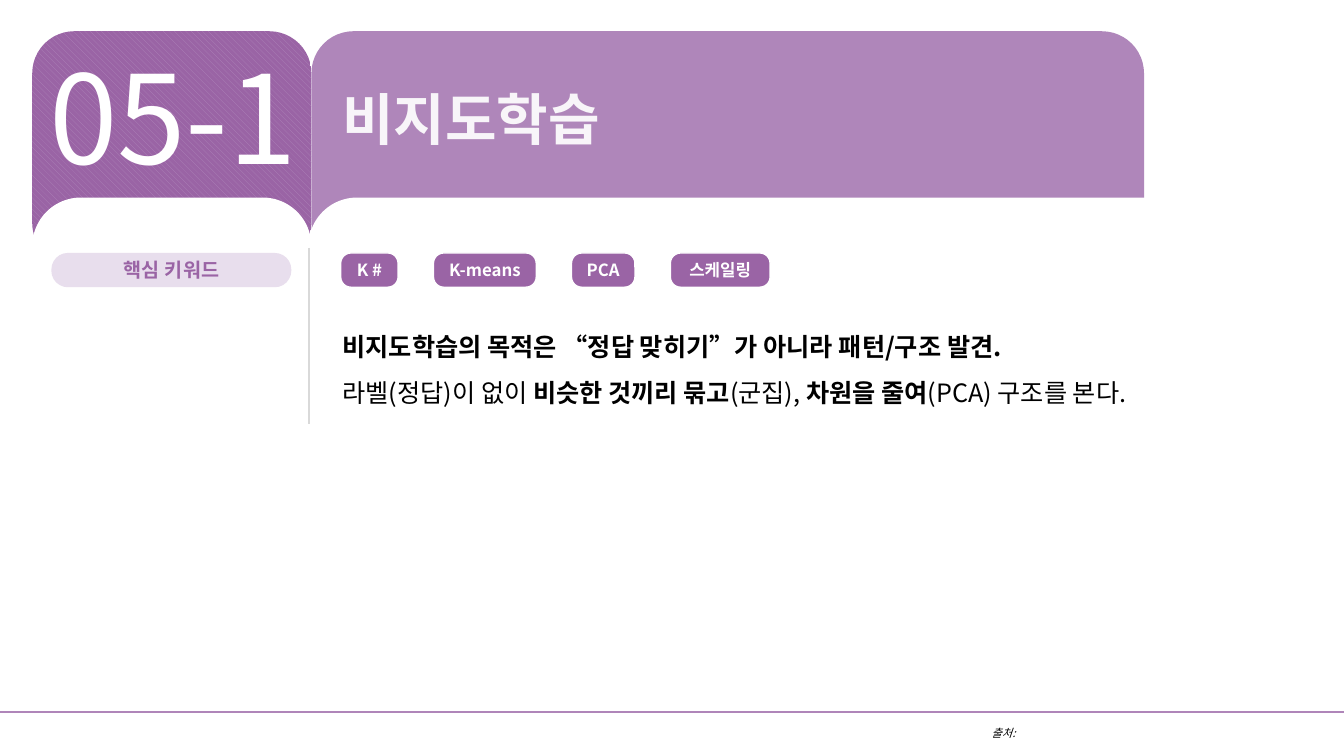
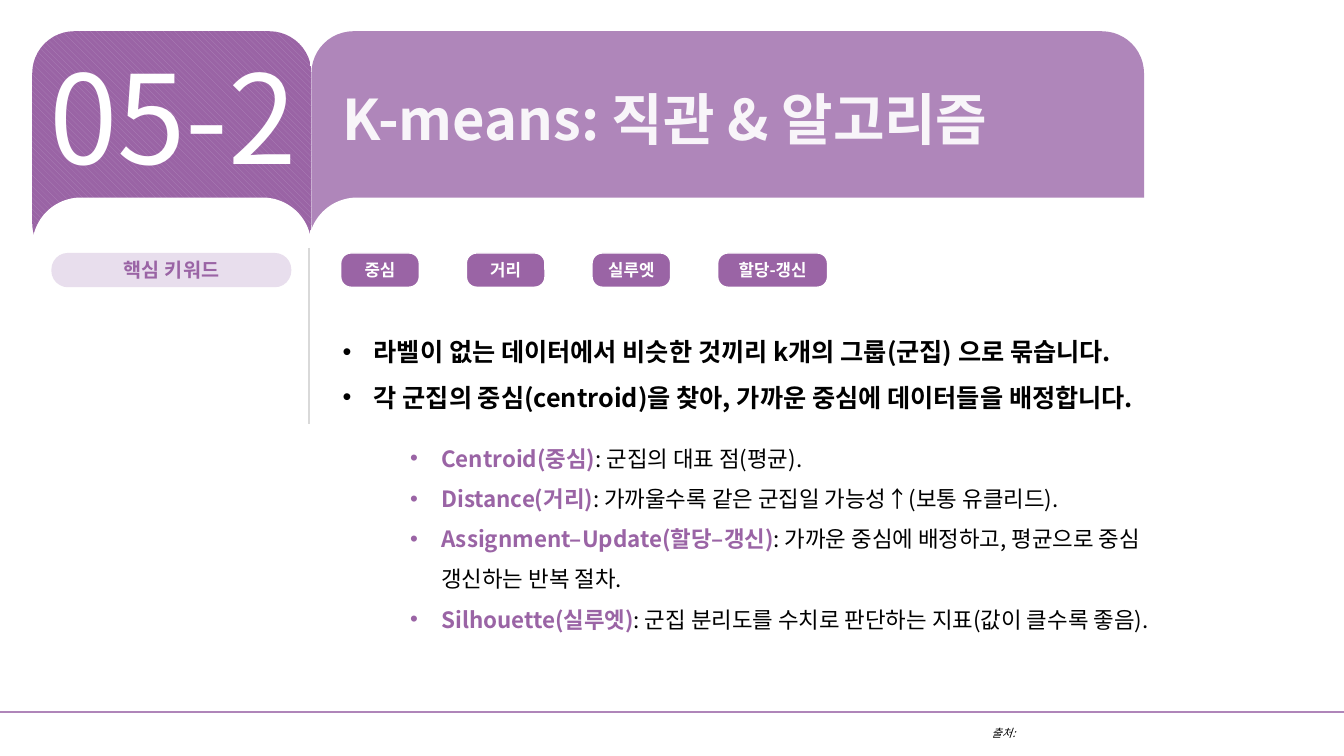
"""Build two lecture slides on unsupervised learning with a shared banner and keyword row."""
import dataclasses

import lxml.etree
import pptx
import pptx.dml.color
import pptx.enum.dml
import pptx.enum.shapes
import pptx.enum.text
import pptx.oxml.ns
import pptx.util

COLUMNS, ROWS = 40, 30
WIDTH, HEIGHT = pptx.util.Inches(13.333), pptx.util.Inches(7.5)
ALIGN = pptx.enum.text.PP_ALIGN
ANCHOR = pptx.enum.text.MSO_ANCHOR


@dataclasses.dataclass(frozen=True)
class Theme:
    face: str = "Noto Sans CJK KR"
    label_face: str = "Arial"
    deep: str = "9A64A5"
    band: str = "AF86BA"
    pale: str = "E8DEED"
    rule: str = "AF85B9"
    divider: str = "D9D9D9"
    title: str = "F8F5F9"
    white: str = "FFFFFF"
    ink: str = "000000"
    number_size: int = 88
    title_size: int = 40
    body_size: int = 18
    detail_size: int = 16
    label_size: int = 14
    chip_size: int = 12
    source_size: int = 8


THEME = Theme()


def rgb(color):
    return pptx.dml.color.RGBColor.from_string(color)


def across(columns):
    return round(WIDTH * columns / COLUMNS)


def down(rows):
    return round(HEIGHT * rows / ROWS)


def box(left, top, width, height):
    return across(left), down(top), across(width), down(height)


def add_bullet(paragraph):
    properties = paragraph._p.get_or_add_pPr()
    indent = pptx.util.Inches(0.31)
    properties.set("marL", str(indent))
    properties.set("indent", str(-indent))
    name = pptx.oxml.ns.qn
    lxml.etree.SubElement(properties, name("a:buFont")).set("typeface", "Arial")
    lxml.etree.SubElement(properties, name("a:buChar")).set("char", "•")


def write_text(shape, paragraphs, *, size, color=THEME.ink, face=THEME.face, bold=False,
               italic=False, align=ALIGN.LEFT, anchor=ANCHOR.TOP, spacing=1.0,
               bullet=False, wrap=True, grow=False):
    frame = shape.text_frame
    frame.word_wrap = wrap
    frame.vertical_anchor = anchor
    if grow:
        frame.auto_size = pptx.enum.text.MSO_AUTO_SIZE.SHAPE_TO_FIT_TEXT
    for index, runs in enumerate(paragraphs):
        paragraph = frame.add_paragraph() if index else frame.paragraphs[0]
        paragraph.alignment = align
        paragraph.line_spacing = spacing
        if bullet:
            add_bullet(paragraph)
        for text, changes in runs:
            run = paragraph.add_run()
            run.text = text
            font = run.font
            font.size = pptx.util.Pt(size)
            font.name = face
            font.italic = italic
            font.bold = changes.get("bold", bold)
            font.color.rgb = rgb(changes.get("color", color))
            east_asian = lxml.etree.SubElement(
                run._r.get_or_add_rPr(), pptx.oxml.ns.qn("a:ea"))
            east_asian.set("typeface", face)


def plain(text):
    return [[(text, {})]]


def add_text(slide, place, paragraphs, **text_format):
    shape = slide.shapes.add_textbox(*box(*place))
    write_text(shape, paragraphs, grow=True, **text_format)


def add_panel(slide, place, rounding, color, line=None):
    shape = slide.shapes.add_shape(
        pptx.enum.shapes.MSO_SHAPE.ROUNDED_RECTANGLE, *box(*place))
    shape.adjustments[0] = rounding
    shape.shadow.inherit = False
    shape.fill.solid()
    shape.fill.fore_color.rgb = rgb(color)
    if line:
        shape.line.color.rgb = rgb(line)
        shape.line.width = pptx.util.Pt(1)
    else:
        shape.line.fill.background()
    return shape


def add_line(slide, start, end, color):
    connector = slide.shapes.add_connector(
        pptx.enum.shapes.MSO_CONNECTOR.STRAIGHT,
        across(start[0]), down(start[1]), across(end[0]), down(end[1]))
    connector.line.color.rgb = rgb(color)
    connector.line.width = pptx.util.Pt(1.5)
    lxml.etree.SubElement(connector._element.spPr, pptx.oxml.ns.qn("a:effectLst"))


def add_banner(slide, number, title):
    badge = add_panel(slide, (0.96, 1.24, 8.31, 9.28), 0.18, THEME.deep)
    badge.fill.patterned()
    badge.fill.pattern = pptx.enum.dml.MSO_PATTERN.WIDE_DOWNWARD_DIAGONAL
    badge.fill.fore_color.rgb = rgb(THEME.band)
    badge.fill.back_color.rgb = rgb(THEME.deep)
    add_panel(slide, (9.27, 1.24, 24.78, 9.28), 0.18, THEME.band)
    for left, width in ((0.96, 8.31), (9.18, 26.67)):
        add_panel(slide, (left, 7.84, width, 7.44), 0.26, THEME.white)
    add_text(slide, (1.17, 1.44, 8.25, 6.32), plain(number),
             size=THEME.number_size, color=THEME.white, wrap=False)
    add_text(slide, (9.9, 3.16, 24, 3.08), plain(title),
             size=THEME.title_size, color=THEME.title, bold=True)


def add_keywords(slide, chips, gap):
    centred = {"bold": True, "align": ALIGN.CENTER, "anchor": ANCHOR.MIDDLE, "wrap": False}
    label = add_panel(slide, (1.53, 10.04, 7.14, 1.36), 0.48, THEME.pale)
    write_text(label, plain("핵심 키워드"), size=THEME.label_size, color=THEME.deep,
               face=THEME.label_face, **centred)
    add_line(slide, (9.21, 9.84), (9.21, 16.84), THEME.divider)
    left = 10.14
    for keyword, width in chips:
        chip = add_panel(slide, (left, 10.04, width, 1.36), 0.3, THEME.deep, THEME.white)
        write_text(chip, plain(keyword), size=THEME.chip_size, color=THEME.white, **centred)
        left += width + gap


def add_footer(slide):
    add_line(slide, (0, 28.24), (COLUMNS, 28.24), THEME.rule)
    add_text(slide, (29.22, 28.64, 10.8, 0.96), plain("출처:"),
             size=THEME.source_size, italic=True)


def add_lesson(presentation, number, title, chips, gap):
    slide = presentation.slides.add_slide(presentation.slide_layouts[6])
    add_banner(slide, number, title)
    add_keywords(slide, chips, gap)
    add_footer(slide)
    return slide


def add_unsupervised(presentation):
    chips = [("K #", 1.71), ("K-means", 3.06), ("PCA", 1.89), ("스케일링", 2.97)]
    slide = add_lesson(presentation, "05-1", "비지도학습", chips, 1.05)
    strong = {"bold": True}
    add_text(slide, (9.9, 12.36, 23.85, 5.64), [
        [("비지도학습의 목적은 “정답 맞히기”가 아니라 패턴/구조 발견.", strong)],
        [("라벨(정답)이 없이 ", {}), ("비슷한 것끼리 묶고", strong), ("(군집), ", {}),
         ("차원을 줄여", strong), ("(PCA) 구조를 본다.", {})],
    ], size=THEME.body_size, spacing=1.5)


def add_k_means(presentation):
    chips = [("중심", 2.34), ("거리", 2.34), ("실루엣", 2.34), ("할당-갱신", 3.27)]
    slide = add_lesson(presentation, "05-2", "K-means: 직관 & 알고리즘", chips, 1.4)
    summary = ["라벨이 없는 데이터에서 비슷한 것끼리 k개의 그룹(군집) 으로 묶습니다.",
               "각 군집의 중심(centroid)을 찾아, 가까운 중심에 데이터들을 배정합니다."]
    add_text(slide, (9.9, 12.56, 26.46, 3.8), [[(text, {})] for text in summary],
             size=THEME.body_size, bold=True, spacing=1.5, bullet=True)
    terms = [
        ("Centroid(중심)", ": 군집의 대표 점(평균)."),
        ("Distance(거리)", ": 가까울수록 같은 군집일 가능성↑(보통 유클리드)."),
        ("Assignment–Update(할당–갱신)",
         ": 가까운 중심에 배정하고, 평균으로 중심 갱신하는 반복 절차."),
        ("Silhouette(실루엣)", ": 군집 분리도를 수치로 판단하는 지표(값이 클수록 좋음)."),
    ]
    accent = {"bold": True, "color": THEME.deep}
    add_text(slide, (11.91, 16.92, 24.45, 8.28),
             [[(term, accent), (meaning, {})] for term, meaning in terms],
             size=THEME.detail_size, spacing=1.5, bullet=True)


def main():
    presentation = pptx.Presentation()
    presentation.slide_width, presentation.slide_height = WIDTH, HEIGHT
    add_unsupervised(presentation)
    add_k_means(presentation)
    presentation.save("out.pptx")


if __name__ == "__main__":
    main()
